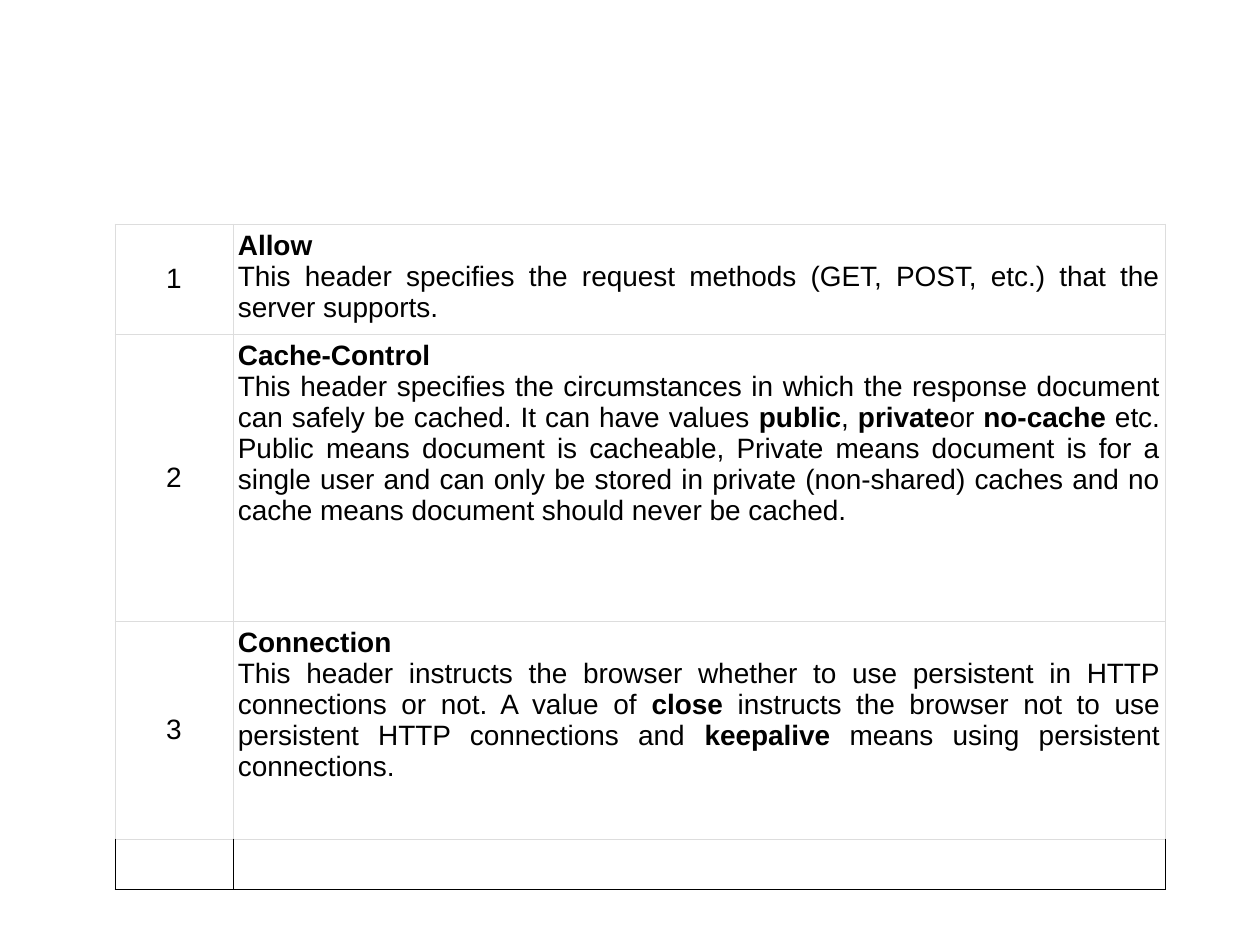
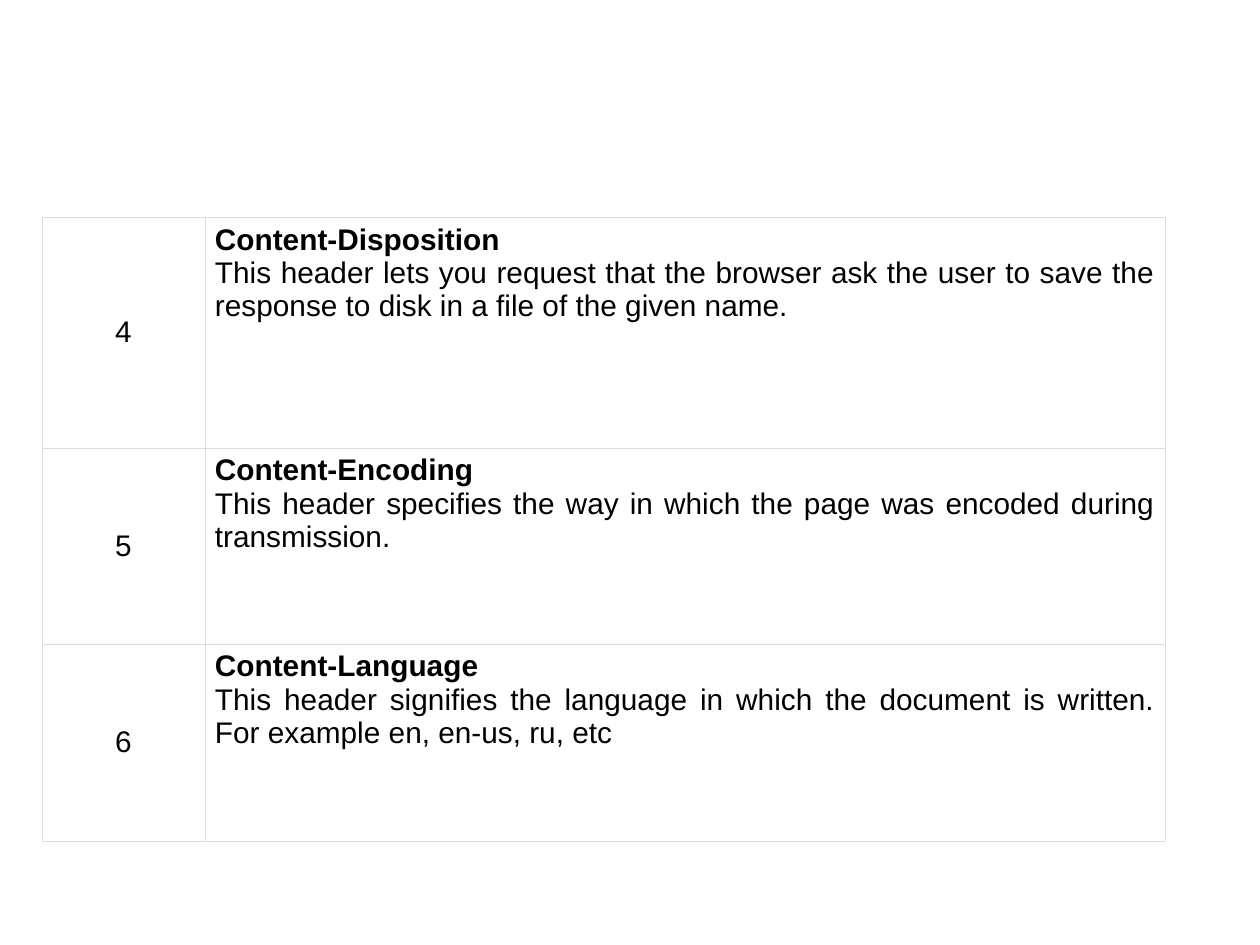
from lxml import etree
from pptx import Presentation
from pptx.dml.color import RGBColor
from pptx.enum.text import MSO_ANCHOR, PP_ALIGN
from pptx.oxml.ns import qn
from pptx.util import Pt

CENTER, JUSTIFY = PP_ALIGN.CENTER, PP_ALIGN.JUSTIFY
MIDDLE, TOP = MSO_ANCHOR.MIDDLE, MSO_ANCHOR.TOP

EMU_PER_PX = 914400 / 126
FONT = "Arial"
BLACK, GRID = "000000", "DDDDDD"
GRID_WIDTH, OUTLINE_WIDTH = 0.34, 0.45

# Each header: number, name, then description runs; every second run is bold
CACHING_HEADERS = [
    ("1", "Allow", [
        "This header specifies the request methods (GET, POST, etc.) that the server supports."]),
    ("2", "Cache-Control", [
        "This header specifies the circumstances in which the response document "
        "can safely be cached. It can have values ", "public", ", ", "private",
        "or ", "no-cache",
        " etc. Public means document is cacheable, Private means document is for a "
        "single user and can only be stored in private (non-shared) caches and no "
        "cache means document should never be cached."]),
    ("3", "Connection", [
        "This header instructs the browser whether to use persistent in HTTP "
        "connections or not. A value of ", "close",
        " instructs the browser not to use persistent HTTP connections and ",
        "keepalive", " means using persistent connections."]),
]
CONTENT_HEADERS = [
    ("4", "Content-Disposition", [
        "This header lets you request that the browser ask the user to save the "
        "response to disk in a file of the given name."]),
    ("5", "Content-Encoding", [
        "This header specifies the way in which the page was encoded during transmission."]),
    ("6", "Content-Language", [
        "This header signifies the language in which the document is written. "
        "For example en, en-us, ru, etc"]),
]


def px(length):
    return round(length * EMU_PER_PX)


def color(hex_string):
    return RGBColor.from_string(hex_string)


def write_text(paragraph, text, size, bold=False, align=JUSTIFY):
    paragraph.alignment = align
    run = paragraph.add_run()
    run.text = text
    run.font.name = FONT
    run.font.size = Pt(size)
    run.font.bold = bold
    run.font.color.rgb = color(BLACK)


def set_borders(cell, outlined):
    """Grey grid lines; an outlined cell is black on all sides but the top."""
    properties = cell._tc.get_or_add_tcPr()
    for position, side in enumerate("LRTB"):
        black = outlined and side != "T"
        width = OUTLINE_WIDTH if black else GRID_WIDTH
        line = etree.Element(qn(f"a:ln{side}"), w=str(Pt(width)))
        fill = etree.SubElement(line, qn("a:solidFill"))
        etree.SubElement(fill, qn("a:srgbClr"), val=BLACK if black else GRID)
        properties.insert(position, line)


class Deck:
    def __init__(self, width, height):
        self.presentation = Presentation()
        self.presentation.slide_width = px(width)
        self.presentation.slide_height = px(height)
        self.slide = None

    def add_slide(self):
        blank = self.presentation.slide_layouts[6]
        self.slide = self.presentation.slides.add_slide(blank)

    def header_table(self, headers, left, top, columns, rows, size, inset):
        """Rows beyond the list of headers stay empty and are outlined."""
        frame = self.slide.shapes.add_table(
            len(rows), len(columns), px(left), px(top), px(sum(columns)), px(sum(rows)))
        table = frame.table
        table.first_row = table.horz_banding = False
        for column, width in zip(table.columns, columns):
            column.width = px(width)
        for row, height in zip(table.rows, rows):
            row.height = px(height)

        # Cell format
        for index, row in enumerate(table.rows):
            for cell in row.cells:
                cell.margin_left = cell.margin_right = px(inset)
                cell.margin_top = cell.margin_bottom = px(6)
                cell.fill.background()
                set_borders(cell, outlined=index >= len(headers))

        # Cell text
        for row, (number, name, runs) in zip(table.rows, headers):
            number_cell, text_cell = row.cells
            number_cell.vertical_anchor = MIDDLE
            text_cell.vertical_anchor = TOP
            write_text(number_cell.text_frame.paragraphs[0], number, size, align=CENTER)
            write_text(text_cell.text_frame.paragraphs[0], name, size, bold=True)
            description = text_cell.text_frame.add_paragraph()
            for position, text in enumerate(runs):
                write_text(description, text, size, bold=position % 2 == 1)


def main():
    deck = Deck(1260, 945)

    # Caching and connection headers
    deck.add_slide()
    deck.header_table(CACHING_HEADERS, left=115, top=224, columns=[118, 932],
                      rows=[110, 287, 218, 47], size=16, inset=5)

    # Content headers
    deck.add_slide()
    deck.header_table(CONTENT_HEADERS, left=42, top=217, columns=[163, 960],
                      rows=[231, 196, 197], size=17, inset=10)

    deck.presentation.save("out.pptx")


if __name__ == "__main__":
    main()
